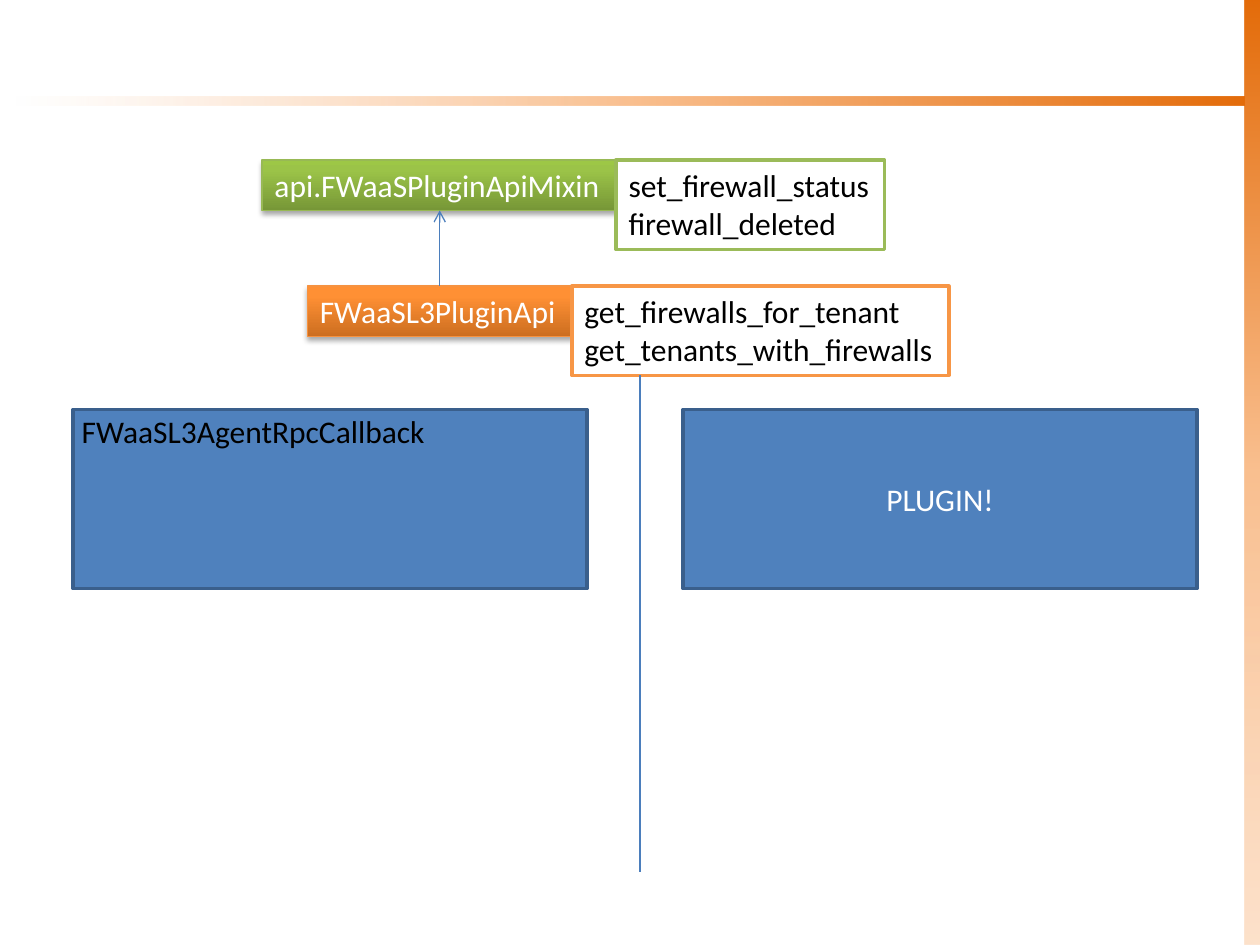
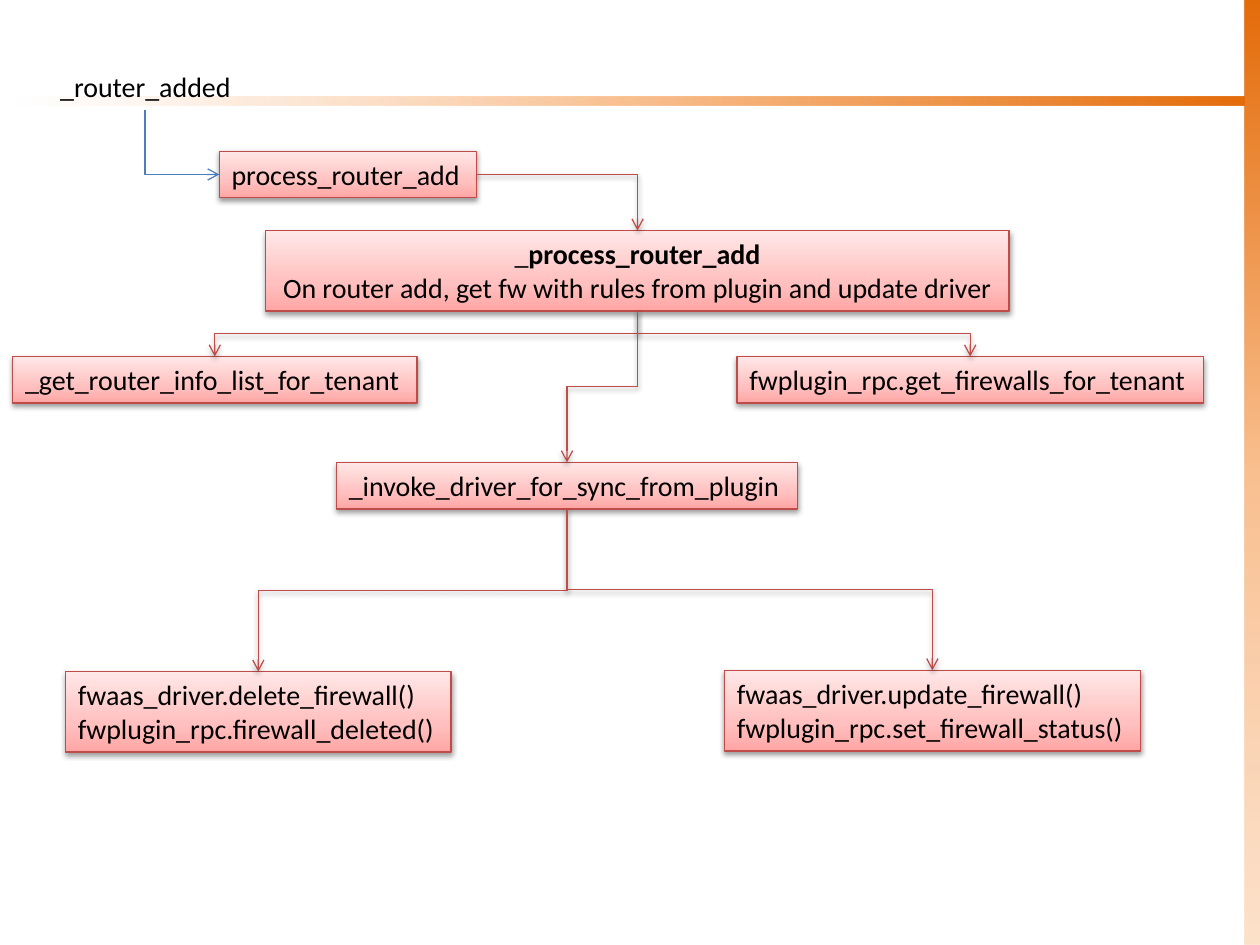
import copy

import lxml.etree
import pptx
import pptx.dml.color
import pptx.enum.shapes
import pptx.enum.text
import pptx.oxml
import pptx.oxml.ns
import pptx.util

Inches = pptx.util.Inches
Pt = pptx.util.Pt
qn = pptx.oxml.ns.qn
rgb = pptx.dml.color.RGBColor.from_string
ALIGN = pptx.enum.text.PP_ALIGN
ANCHOR = pptx.enum.text.MSO_ANCHOR
CONNECTOR = pptx.enum.shapes.MSO_CONNECTOR

FONT = "Calibri"
BLACK, WHITE = "000000", "FFFFFF"
BLUE, BLUE_EDGE, BLUE_LINE = "4F81BD", "3A5F8C", "4B7EBC"
GREEN_EDGE, ORANGE_EDGE, RED_EDGE = "9BBB59", "F79646", "BF4C48"

# Gradient stops: position, colour, opacity in percent
GREEN = [(0, "779737", 100), (80, "9BC348", 100), (100, "9DC746", 100)]
ORANGE = [(0, "CC6E20", 100), (80, "FF9034", 100), (100, "FF9136", 100)]
PINK = [(0, "FFA6A5", 100), (35, "FFC0BF", 100), (100, "FFE7E7", 100)]
SIDE_BAND = [(0, "FCD5B5", 69), (50, "FAC090", 100), (100, "E46C0A", 100)]
TITLE_BAND = [(0, "FCD5B5", 0)] + SIDE_BAND[1:]

# Shadows: opacity in percent, distance in points
STRONG_SHADOW, SOFT_SHADOW = (35, 1.8), (38, 1.6)
SHADOW_XML = (
    '<a:outerShdw xmlns:a="http://schemas.openxmlformats.org/drawingml/2006/main" '
    'blurRad="{blur}" dist="{dist}" dir="5400000" rotWithShape="0">'
    '<a:srgbClr val="000000"><a:alpha val="{alpha}"/></a:srgbClr></a:outerShdw>'
)


def add_box(page, place, text="", fill=None, edge=None, weight=0.75, size=18,
            colour=BLACK, align=ALIGN.LEFT, anchor=ANCHOR.TOP, angle=90, shadow=None):
    """Add a rectangle, or a text box if there is no fill; a list as fill is a gradient."""
    place = [Inches(length) for length in place]
    if fill is None:
        box = page.shapes.add_textbox(*place)
    else:
        box = page.shapes.add_shape(pptx.enum.shapes.MSO_SHAPE.RECTANGLE, *place)
    properties = box.element.spPr

    if isinstance(fill, list):
        box.fill.gradient()
        box.fill.gradient_angle = angle
        stops = properties.find(".//" + qn("a:gsLst"))
        stops.clear()
        for position, shade, opacity in fill:
            stop = lxml.etree.SubElement(stops, qn("a:gs"), pos=str(position * 1000))
            tint = lxml.etree.SubElement(stop, qn("a:srgbClr"), val=shade)
            lxml.etree.SubElement(tint, qn("a:alpha"), val=str(opacity * 1000))
    elif fill:
        box.fill.solid()
        box.fill.fore_color.rgb = rgb(fill)

    if edge:
        box.line.color.rgb = rgb(edge)
        box.line.width = Pt(weight)
    else:
        box.line.fill.background()

    box.shadow.inherit = False
    if shadow:
        opacity, distance = shadow
        properties.find(qn("a:effectLst")).append(pptx.oxml.parse_xml(SHADOW_XML.format(
            blur=Pt(3.1), dist=Pt(distance), alpha=opacity * 1000)))

    frame = box.text_frame
    frame.word_wrap = False
    frame.vertical_anchor = anchor
    frame.text = text
    for para in frame.paragraphs:
        para.alignment = align
        for span in para.runs:
            span.font.name = FONT
            span.font.size = Pt(size)
            span.font.color.rgb = rgb(colour)
    return box


def add_link(page, start, end, colour=BLUE_LINE, preset="line", downward=False,
             arrow=True, shadow=None):
    """Join two points; a downward elbow leaves its start vertically."""
    kind = CONNECTOR.STRAIGHT if preset == "line" else CONNECTOR.ELBOW
    (x1, y1), (x2, y2) = start, end
    if downward:
        middle_x, middle_y = (x1 + x2) // 2, (y1 + y2) // 2
        half_width, half_height = (y2 - y1) // 2, abs(x2 - x1) // 2
        side = 1 if x2 < x1 else -1
        corners = (middle_x - side * half_width, middle_y - half_height,
                   middle_x + side * half_width, middle_y + half_height)
    else:
        corners = (x1, y1, x2, y2)
    link = page.shapes.add_connector(kind, *corners)
    properties = link.element.spPr
    properties.find(qn("a:prstGeom")).set("prst", preset)
    if downward:
        properties.find(qn("a:xfrm")).set("rot", "5400000" if side == 1 else "16200000")

    link.line.color.rgb = rgb(colour)
    link.line.width = Pt(0.75)
    if arrow:
        lxml.etree.SubElement(properties.find(qn("a:ln")), qn("a:tailEnd"), type="arrow")
    effects = lxml.etree.SubElement(properties, qn("a:effectLst"))
    if shadow:
        opacity, distance = shadow
        effects.append(pptx.oxml.parse_xml(SHADOW_XML.format(
            blur=Pt(3.1), dist=Pt(distance), alpha=opacity * 1000)))


deck = pptx.Presentation()
deck.slide_width = Inches(10)
deck.slide_height = Inches(7.5)
pages = [deck.slides.add_slide(deck.slide_layouts[6]) for _ in range(2)]
for page in pages:
    add_box(page, (9.88, 0, 0.12, 7.5), fill=SIDE_BAND)
    add_box(page, (0.12, 0.77, 9.76, 0.07), fill=TITLE_BAND, angle=0)
class_page, flow_page = pages

# Slide 1: plugin API classes with their methods
classes = [
    ("FWaaSL3PluginApi", (2.44, 2.27, 2.1, 0.4), ORANGE, "F69240",
     "get_firewalls_for_tenant\nget_tenants_with_firewalls", 2.99, ORANGE_EDGE),
    ("api.FWaaSPluginApiMixin", (2.08, 1.27, 2.81, 0.4), GREEN, "98B955",
     "set_firewall_status\nfirewall_deleted", 2.13, GREEN_EDGE),
]
for name, place, fill, edge, methods, methods_width, methods_edge in classes:
    left, top, width, height = place
    add_box(class_page, place, name, fill, edge, colour=WHITE, shadow=STRONG_SHADOW)
    add_box(class_page, (left + width, top, methods_width, 0.71), methods,
            WHITE, methods_edge, weight=2)

for left, label in [(0.58, ""), (5.42, "PLUGIN!")]:
    add_box(class_page, (left, 3.25, 4.08, 1.42), label, BLUE, BLUE_EDGE, weight=2,
            colour=WHITE, align=ALIGN.CENTER, anchor=ANCHOR.MIDDLE)
add_box(class_page, (0.55, 3.22, 2.95, 0.4), "FWaaSL3AgentRpcCallback")

add_link(class_page, (Inches(3.49), Inches(2.27)), (Inches(3.49), Inches(1.67)))
add_link(class_page, (Inches(5.08), Inches(2.98)), (Inches(5.08), Inches(6.92)), arrow=False)

# Slide 2: calls made when a router is added
router_added = add_box(flow_page, (0.38, 0.5, 1.7, 0.37), "_router_added", size=16)
calls = {
    "root": ((2.11, 1.83, 5.9, 0.64), "_process_router_add\n"
             "On router add, get fw with rules from plugin and update driver"),
    "process": ((1.74, 1.2, 2.04, 0.37), "process_router_add"),
    "invoke": ((2.67, 3.67, 3.66, 0.37), "_invoke_driver_for_sync_from_plugin"),
    "routers": ((0.1, 2.83, 3.21, 0.37), "_get_router_info_list_for_tenant"),
    "firewalls": ((5.85, 2.83, 3.7, 0.37), "fwplugin_rpc.get_firewalls_for_tenant"),
    "delete": ((0.52, 5.33, 3.06, 0.64),
               "fwaas_driver.delete_firewall()\nfwplugin_rpc.firewall_deleted()"),
    "update": ((5.75, 5.32, 3.3, 0.64),
               "fwaas_driver.update_firewall()\nfwplugin_rpc.set_firewall_status()"),
}
boxes = {}
for name, (place, text) in calls.items():
    align = ALIGN.CENTER if name == "root" else ALIGN.LEFT
    boxes[name] = add_box(flow_page, place, text, PINK, RED_EDGE, size=16,
                          align=align, shadow=SOFT_SHADOW)

heading = boxes["root"].text_frame.paragraphs[0]
underscore = heading.runs[0]
underscore.text = "_"
underscore._r.addnext(copy.deepcopy(underscore._r))
bold_name = heading.runs[1]
bold_name.text = "process_router_add"
bold_name.font.bold = True

process, root = boxes["process"], boxes["root"]
process_middle = process.top + process.height // 2
add_link(flow_page, (Inches(1.15), router_added.top + router_added.height),
         (process.left, process_middle), preset="bentConnector2", downward=True)
add_link(flow_page, (process.left + process.width, process_middle),
         (root.left + root.width // 2, root.top), RED_EDGE,
         preset="bentConnector2", shadow=SOFT_SHADOW)

for caller, callee in [("root", "routers"), ("root", "firewalls"), ("root", "invoke"),
                       ("invoke", "delete"), ("invoke", "update")]:
    source, target = boxes[caller], boxes[callee]
    add_link(flow_page, (source.left + source.width // 2, source.top + source.height),
             (target.left + target.width // 2, target.top), RED_EDGE,
             preset="bentConnector3", downward=True, shadow=SOFT_SHADOW)

deck.save("out.pptx")
